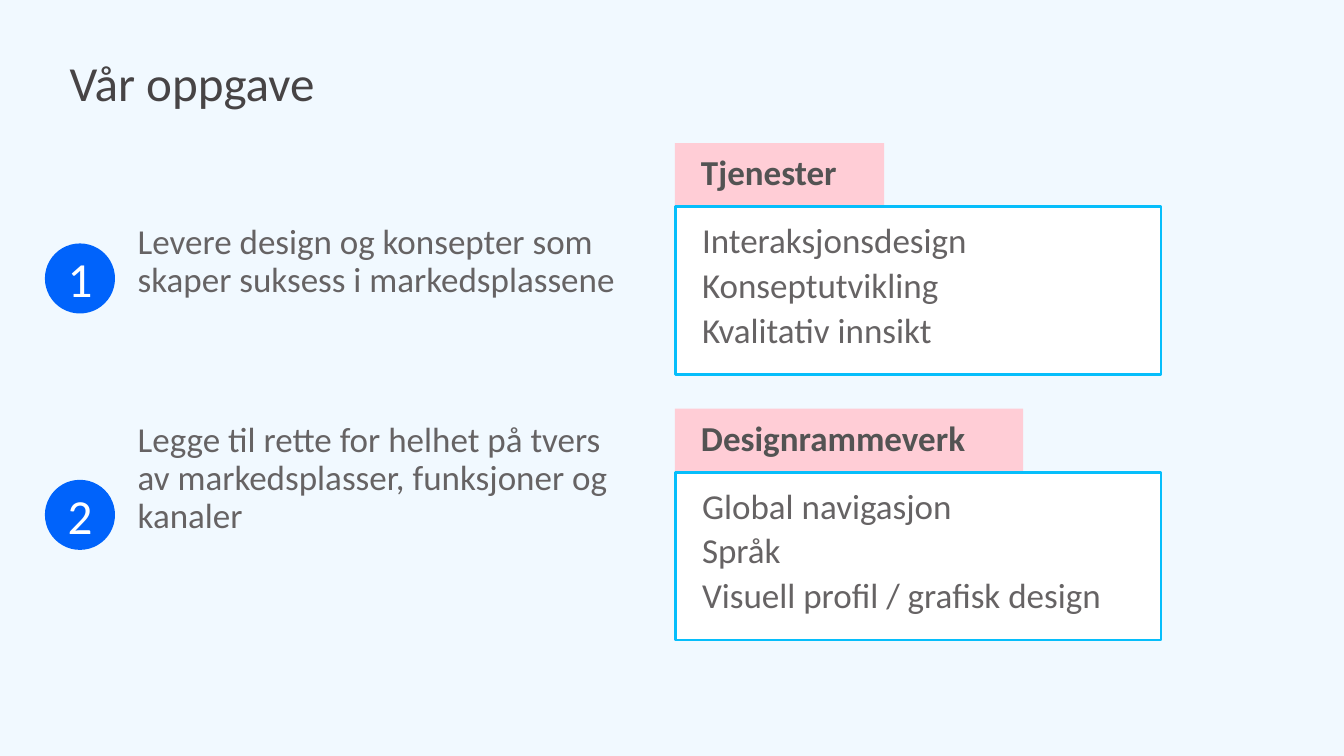
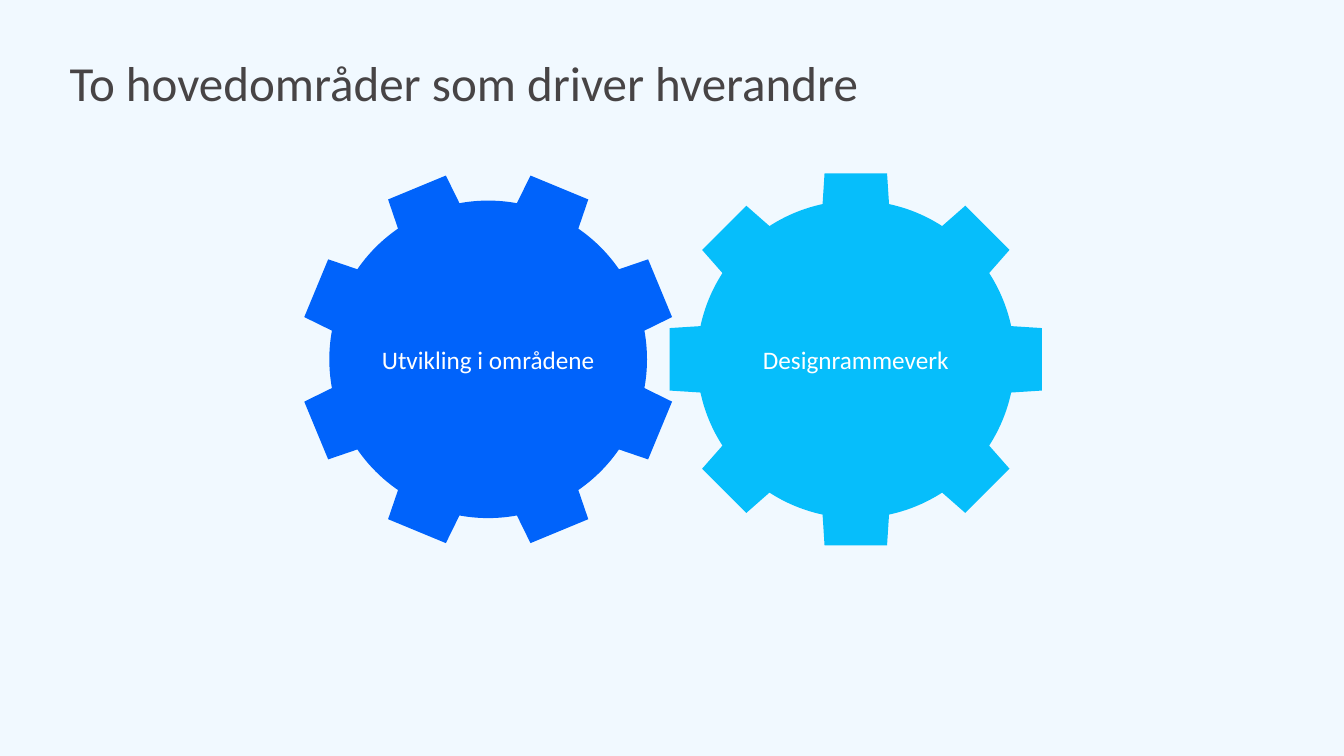
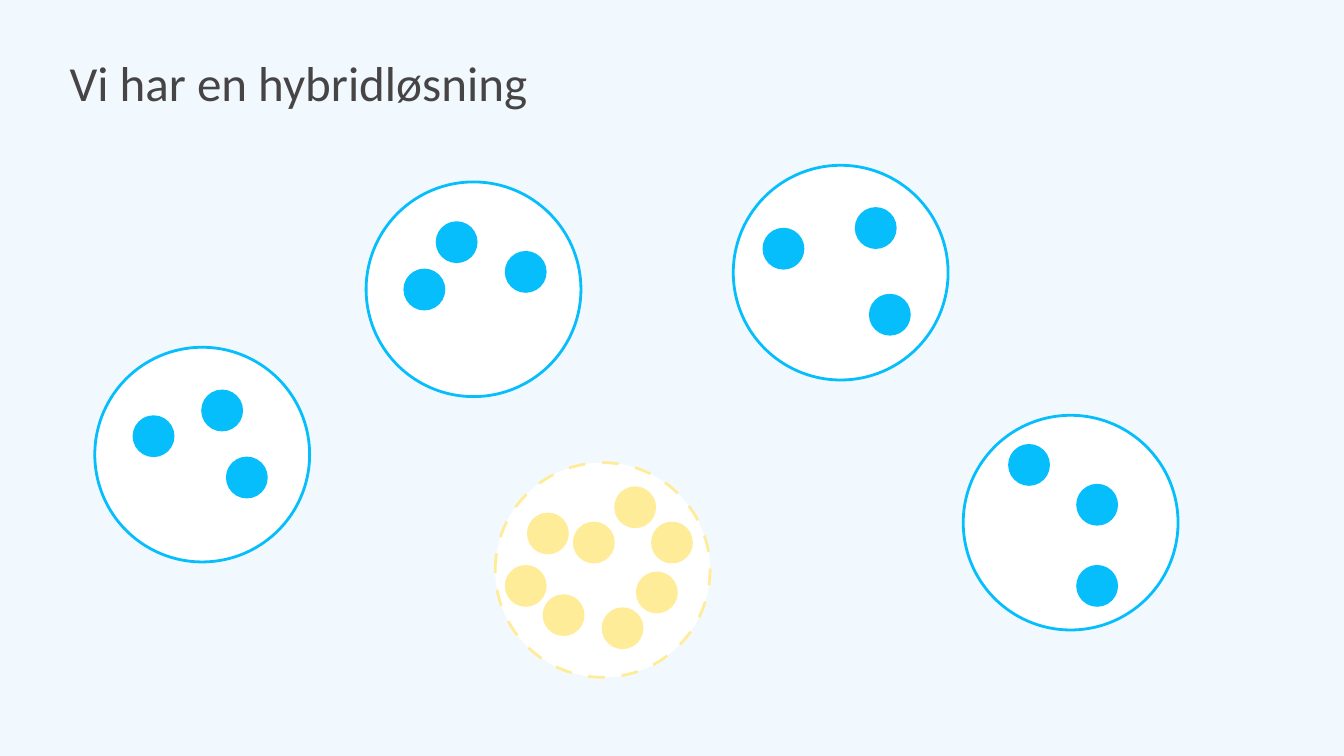
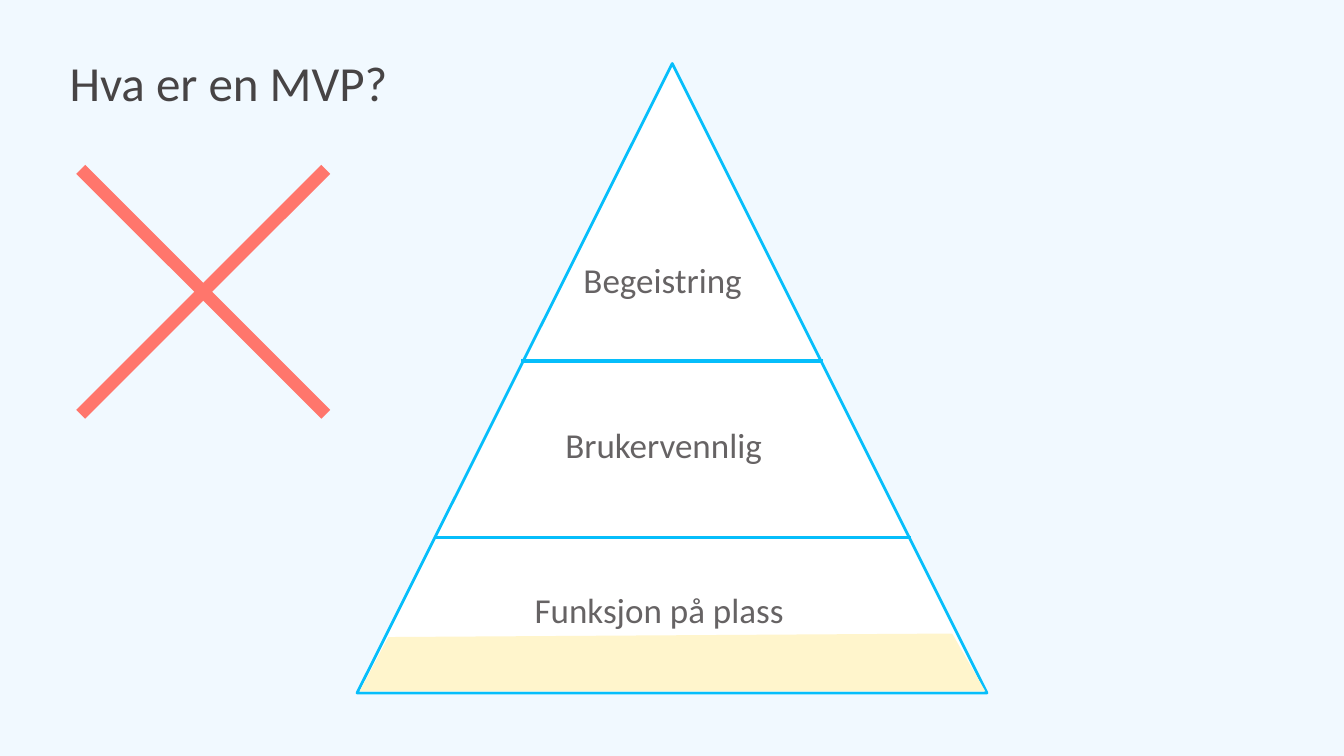
from dataclasses import dataclass
from math import cos, radians, sin

from lxml.etree import SubElement
from pptx import Presentation
from pptx.dml.color import RGBColor as Rgb
from pptx.enum.shapes import MSO_CONNECTOR as Connector, MSO_SHAPE as Preset
from pptx.enum.text import MSO_ANCHOR as Anchor, MSO_AUTO_SIZE as AutoSize, PP_ALIGN as Align
from pptx.oxml.ns import qn
from pptx.util import Inches, Pt

COLUMNS, ROWS = 26.65, 15  # square grid units covering the slide


@dataclass(frozen=True)
class Theme:
    font: str = "Calibri"
    backdrop: Rgb = Rgb.from_string("F1F9FF")
    white: Rgb = Rgb.from_string("FFFFFF")
    blue: Rgb = Rgb.from_string("0063FB")
    cyan: Rgb = Rgb.from_string("06BEFB")
    pink: Rgb = Rgb.from_string("FFCDD6")
    yellow: Rgb = Rgb.from_string("FFEC99")
    pale_yellow: Rgb = Rgb.from_string("FFF5CC")
    red: Rgb = Rgb.from_string("FF766C")
    title_ink: Rgb = Rgb.from_string("474445")
    heading_ink: Rgb = Rgb.from_string("535353")
    body_ink: Rgb = Rgb.from_string("666364")
    title_size: int = 70
    body_size: int = 50
    gear_size: int = 36
    outline: int = 4
    divider: int = 5
    cross: int = 18


THEME = Theme()


def write(frame, text, size=THEME.body_size, color=THEME.body_ink, bold=False,
          align=Align.LEFT, leading=0.9, gap=10, inset=0.05):
    """Fill a text frame, one paragraph a line, with gap points between them."""
    frame.margin_left = frame.margin_right = Inches(inset)
    frame.margin_top = frame.margin_bottom = Inches(inset)
    for index, line in enumerate(text.split("\n")):
        para = frame.add_paragraph() if index else frame.paragraphs[0]
        para.alignment = align
        para.line_spacing = leading
        para.space_before = Pt(gap if index else 0)
        span = para.add_run()
        span.text = line
        span.font.name = THEME.font
        span.font.size = Pt(size)
        span.font.bold = bold
        span.font.color.rgb = color


class Painter:
    """Holds the deck and the page being drawn; lengths are grid units."""

    def __init__(self):
        self.deck = Presentation()
        self.deck.slide_width = Inches(COLUMNS)
        self.deck.slide_height = Inches(ROWS)
        self.unit = self.deck.slide_height / ROWS
        backdrop = self.deck.slide_master.background.fill
        backdrop.solid()
        backdrop.fore_color.rgb = THEME.backdrop
        self.page = None

    def grid(self, *lengths):
        return [round(length * self.unit) for length in lengths]

    def new_page(self, title):
        self.page = self.deck.slides.add_slide(self.deck.slide_layouts[6])
        self.text(1.38, 1.18, 21.14, 2.21, title, wrap=True, inset=0,
                  size=THEME.title_size, color=THEME.title_ink)

    def text(self, left, top, width, height, text, wrap=False, **style):
        box = self.page.shapes.add_textbox(*self.grid(left, top, width, height))
        frame = box.text_frame
        frame.word_wrap = wrap
        frame.auto_size = AutoSize.NONE if wrap else AutoSize.SHAPE_TO_FIT_TEXT
        write(frame, text, **style)

    def paint(self, shape, fill, line=None):
        shape.shadow.inherit = False
        shape.fill.solid()
        shape.fill.fore_color.rgb = fill
        if line is None:
            shape.line.fill.background()
        else:
            shape.line.color.rgb = line
            shape.line.width = Pt(THEME.outline)
        return shape

    def rectangle(self, left, top, width, height, fill, line=None):
        place = self.grid(left, top, width, height)
        return self.paint(self.page.shapes.add_shape(Preset.RECTANGLE, *place), fill, line)

    def disc(self, left, top, size, fill, line=None):
        place = self.grid(left, top, size, size)
        return self.paint(self.page.shapes.add_shape(Preset.OVAL, *place), fill, line)

    def polygon(self, points, fill, line=None, shapes=None):
        start, *others = [self.grid(*point) for point in points]
        builder = (shapes or self.page.shapes).build_freeform(*start)
        builder.add_line_segments(others, close=True)
        return self.paint(builder.convert_to_shape(), fill, line)

    def line(self, start, end, color, width, shapes=None):
        connector = (shapes or self.page.shapes).add_connector(
            Connector.STRAIGHT, *self.grid(*start, *end))
        connector.line.color.rgb = color
        connector.line.width = Pt(width)
        SubElement(connector._element.spPr, qn("a:effectLst"))

    def group(self):
        return self.page.shapes.add_group_shape().shapes

    def numbered_disc(self, number, top):
        left, size, width, height = 0.89, 1.39, 0.7, 1.27
        self.disc(left, top, size, THEME.blue)
        self.text(left + (size - width) / 2, top + (size - height) / 2, width, height,
                  number, size=THEME.title_size, color=THEME.white,
                  align=Align.CENTER, leading=1)

    def tabbed_panel(self, top, tab_width, heading, items):
        self.rectangle(13.38, top, tab_width, 1.27, THEME.pink)
        self.rectangle(13.4, top + 1.26, 9.62, 3.33, THEME.white, THEME.cyan)
        self.text(13.85, top + 0.2, tab_width - 0.96, 0.93, heading,
                  color=THEME.heading_ink, bold=True)
        self.text(13.87, top + 1.54, 8.68, 2.71, items)

    def gear(self, center_x, center_y, label, color, turn=0.0, teeth=8):
        """Draw a labelled disc with teeth; turn is the first tooth's angle from the top."""
        radius, root, tip = 3.15, 2.44, 3.69
        body = self.disc(center_x - radius, center_y - radius, 2 * radius, color)
        body.text_frame.word_wrap = True
        body.text_frame.vertical_anchor = Anchor.MIDDLE
        write(body.text_frame, label, size=THEME.gear_size, color=THEME.white,
              align=Align.CENTER, leading=1)
        profile = [(-0.62, tip), (0.62, tip), (0.7, root), (-0.7, root)]
        shapes = self.group()
        for index in range(teeth):
            angle = radians(turn + index * 360 / teeth)
            points = [(center_x + across * cos(angle) + out * sin(angle),
                       center_y + across * sin(angle) - out * cos(angle))
                      for across, out in profile]
            self.polygon(points, color, shapes=shapes)

    def cluster(self, left, top, color, dots, dashed=False):
        ring = self.disc(left, top, 4.26, THEME.white, color)
        if dashed:
            outline = ring._element.spPr.find(qn("a:ln"))
            pattern = SubElement(outline, qn("a:custDash"))
            SubElement(pattern, qn("a:ds"), d="600000", sp="600000")
        for dot_left, dot_top in dots:
            self.disc(dot_left, dot_top, 0.83, color)


def draw_task(painter):
    painter.new_page("Vår oppgave")
    painter.numbered_disc("1", 4.83)
    painter.numbered_disc("2", 9.52)
    painter.text(2.73, 4.45, 9.78, 8.98,
                 "Levere design og konsepter som skaper suksess i markedsplassene\n"
                 "Legge til rette for helhet på tvers av markedsplasser, funksjoner og kanaler",
                 wrap=True, inset=0, gap=175)
    painter.tabbed_panel(2.84, 4.15, "Tjenester",
                         "Interaksjonsdesign\nKonseptutvikling\nKvalitativ innsikt")
    painter.tabbed_panel(8.11, 6.91, "Designrammeverk",
                         "Global navigasjon\nSpråk\nVisuell profil / grafisk design")


def draw_gears(painter):
    painter.new_page("To hovedområder som driver hverandre")
    painter.gear(16.97, 7.13, "Designrammeverk", THEME.cyan)
    painter.gear(9.68, 7.13, "Utvikling i områdene", THEME.blue, turn=22.5)


def draw_hybrid(painter):
    painter.new_page("Vi har en hybridløsning")
    teams = [
        (1.88, 6.89, [(2.63, 8.24), (3.99, 7.73), (4.48, 9.06)]),
        (7.26, 3.61, [(8, 5.33), (8.64, 4.39), (10.01, 4.98)]),
        (14.54, 3.28, [(15.12, 4.52), (16.95, 4.11), (17.23, 5.83)]),
        (19.1, 8.24, [(19.99, 8.81), (21.34, 9.6), (21.34, 11.21)]),
    ]
    shared_dots = [(10.45, 10.17), (12.18, 9.65), (12.61, 11.34), (10.76, 11.79),
                   (10.01, 11.21), (11.36, 10.35), (11.93, 12.05), (12.91, 10.35)]
    painter.cluster(9.82, 9.18, THEME.yellow, shared_dots, dashed=True)
    for left, top, dots in teams:
        painter.cluster(left, top, THEME.cyan, dots)


def draw_pyramid(painter):
    painter.new_page("Hva er en MVP?")
    painter.polygon([(13.33, 1.26), (19.57, 13.75), (7.08, 13.75)],
                    THEME.white, THEME.cyan)
    for left, right, height in [(10.34, 16.31, 7.16), (8.6, 18.06, 10.67)]:
        painter.line((left, height), (right, height), THEME.cyan, THEME.divider)
    painter.polygon([(7.7, 12.64), (18.88, 12.57), (19.54, 13.72), (7.13, 13.72)],
                    THEME.pale_yellow)
    levels = [("Begeistring", 11.52, 3.62), ("Brukervennlig", 11.16, 4.33),
              ("Funksjon på plass", 10.55, 5.55)]
    for index, (label, left, width) in enumerate(levels):
        painter.text(left, 5.18 + index * 3.27, width, 0.93, label)
    cross = painter.group()
    left, right, top, bottom = 1.6, 6.46, 3.36, 8.22
    painter.line((left, bottom), (right, top), THEME.red, THEME.cross, cross)
    painter.line((right, bottom), (left, top), THEME.red, THEME.cross, cross)


def main():
    painter = Painter()
    for draw in (draw_task, draw_gears, draw_hybrid, draw_pyramid):
        draw(painter)
    painter.deck.save("out.pptx")


if __name__ == "__main__":
    main()
